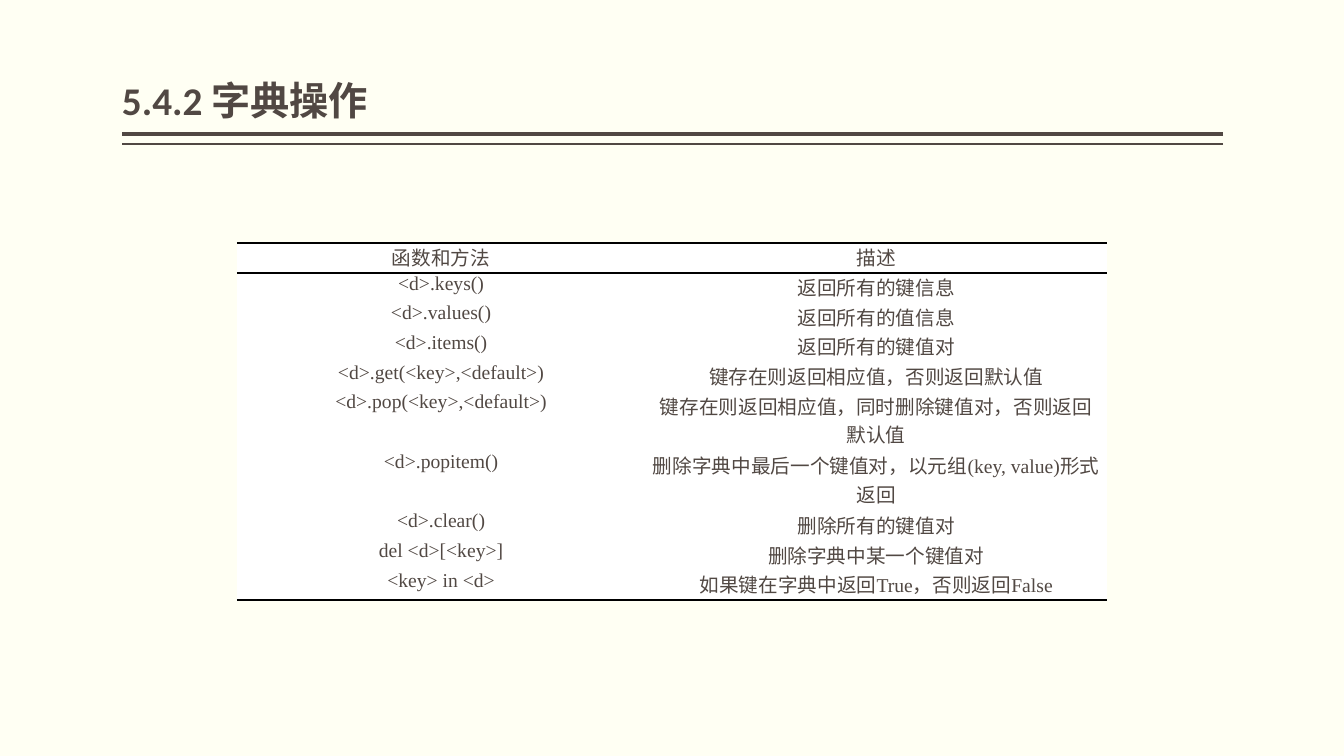
from lxml.etree import SubElement
from pptx import Presentation
from pptx.dml.color import RGBColor
from pptx.enum.shapes import MSO_CONNECTOR
from pptx.enum.text import MSO_ANCHOR, PP_ALIGN
from pptx.oxml.ns import qn
from pptx.util import Inches, Pt

COLORS = {"back": "FFFFF3", "ink": "514843", "cell": "FFFFFF", "rule": "000000"}

ROWS = [
    ("函数和方法", "描述"),
    ("<d>.keys()", "返回所有的键信息"),
    ("<d>.values()", "返回所有的值信息"),
    ("<d>.items()", "返回所有的键值对"),
    ("<d>.get(<key>,<default>)", "键存在则返回相应值，否则返回默认值"),
    ("<d>.pop(<key>,<default>)", "键存在则返回相应值，同时删除键值对，否则返回默认值"),
    ("<d>.popitem()", "删除字典中最后一个键值对，以元组(key, value)形式返回"),
    ("<d>.clear()", "删除所有的键值对"),
    ("del <d>[<key>]", "删除字典中某一个键值对"),
    ("<key> in <d>", "如果键在字典中返回True，否则返回False"),
]
COLS = (4.05, 4.58)
TALL = (5, 6)  # rows whose text takes two lines
UNIT = 0.295


def color(name):
    return RGBColor.from_string(COLORS[name])


def style(para, face, size, bold=False):
    font = para.font
    font.name, font.size, font.bold = face, Pt(size), bold
    font.color.rgb = color("ink")


def draw_head(slide, left, top, width, height):
    # Title text
    box = slide.shapes.add_textbox(Inches(left), Inches(top), Inches(width), Inches(height))
    frame = box.text_frame
    frame.word_wrap = True
    frame.vertical_anchor = MSO_ANCHOR.BOTTOM
    frame.margin_left = frame.margin_right = 0
    para = frame.paragraphs[0]
    para.text = "5.4.2 字典操作"
    para.line_spacing = 0.9
    style(para, "Calibri", 28, True)

    # Double rule under the title
    for gap, weight in ((0.05, 3), (0.15, 1)):
        y = Inches(top + height + gap)
        line = slide.shapes.add_connector(
            MSO_CONNECTOR.STRAIGHT, Inches(left + width), y, Inches(left), y)
        line.line.color.rgb = color("ink")
        line.line.width = Pt(weight)
        SubElement(line._element.spPr, qn("a:effectLst"))


def set_edges(cell, sides):
    props = cell._tc.get_or_add_tcPr()
    for side in "LRTB":
        edge = SubElement(props, qn(f"a:ln{side}"), w=str(Pt(1.5)))
        if side in sides:
            fill = SubElement(edge, qn("a:solidFill"))
            SubElement(fill, qn("a:srgbClr"), val=COLORS["rule"])
        else:
            SubElement(edge, qn("a:noFill"))


def fill_cell(cell, text, face, sides):
    set_edges(cell, sides)
    cell.fill.solid()
    cell.fill.fore_color.rgb = color("cell")
    cell.margin_left = cell.margin_right = Inches(0.07)
    cell.margin_top = cell.margin_bottom = 0
    para = cell.text_frame.paragraphs[0]
    para.text = text
    para.alignment = PP_ALIGN.CENTER
    style(para, face, 14)


def draw_table(slide, left, top, width, height):
    table = slide.shapes.add_table(
        len(ROWS), len(COLS), Inches(left), Inches(top), Inches(width), Inches(height)).table
    table.first_row = table.horz_banding = False
    for col, size in zip(table.columns, COLS):
        col.width = Inches(size)

    # Rules frame the header and close the last row
    edges = {0: "TB", 1: "T", len(ROWS) - 1: "B"}
    for i, texts in enumerate(ROWS):
        table.rows[i].height = Inches(UNIT * (2 if i in TALL else 1))
        face = "Times New Roman" if i else "Calibri"
        for j, text in enumerate(texts):
            fill_cell(table.cell(i, j), text, face, edges.get(i, ""))


def main():
    deck = Presentation()
    deck.slide_width, deck.slide_height = Inches(13.33), Inches(7.5)
    slide = deck.slides.add_slide(deck.slide_layouts[6])
    slide.background.fill.solid()
    slide.background.fill.fore_color.rgb = color("back")
    draw_head(slide, 1.21, 0.08, 10.92, 1.2)
    draw_table(slide, 2.35, 2.41, sum(COLS), UNIT * (len(ROWS) + len(TALL)))
    deck.save("out.pptx")


if __name__ == "__main__":
    main()
